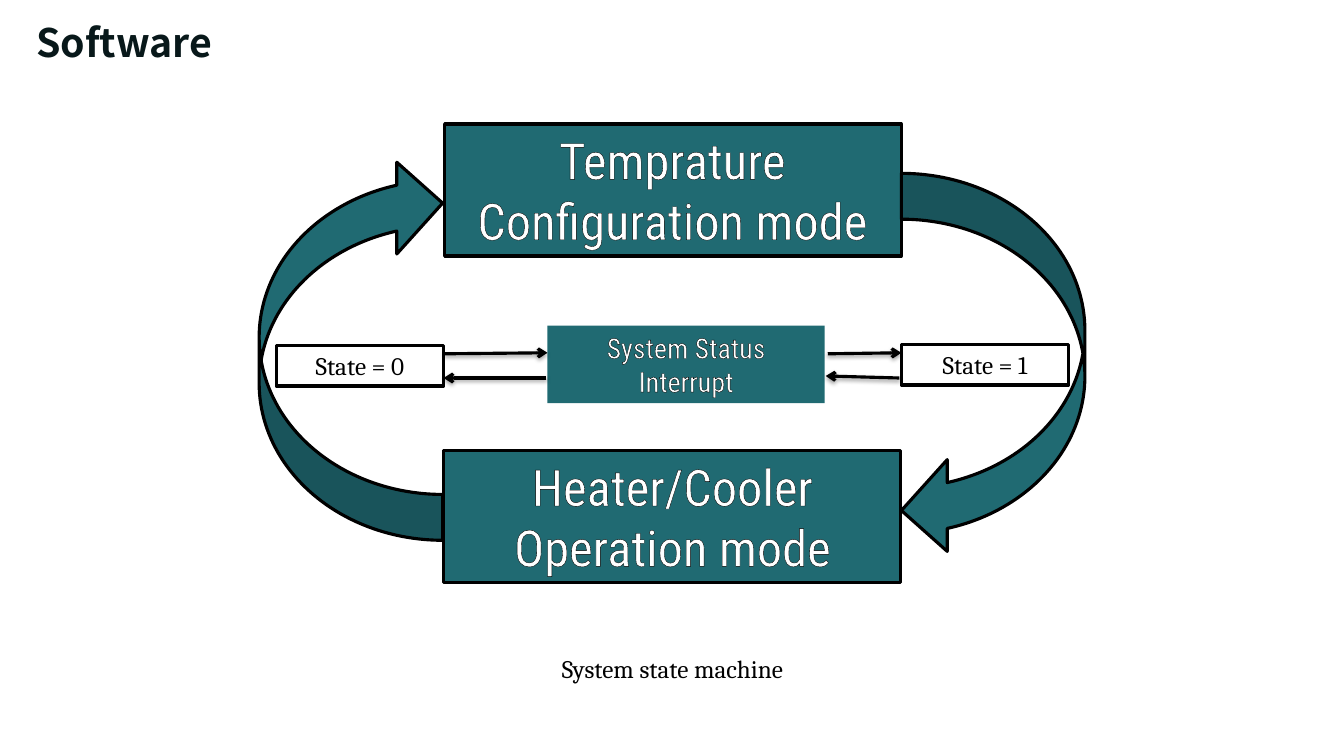
from dataclasses import dataclass
from typing import Optional

from lxml.etree import SubElement
from pptx import Presentation
from pptx.dml.color import RGBColor
from pptx.enum.shapes import MSO_CONNECTOR as Link, MSO_SHAPE as Kind
from pptx.enum.text import MSO_ANCHOR as Anchor, MSO_AUTO_SIZE as Fit, PP_ALIGN as Align
from pptx.oxml import parse_xml
from pptx.oxml.ns import nsdecls, qn
from pptx.util import Emu, Pt

PX = 9144  # 100 px to the inch
TEAL, BLACK, WHITE, DARK = "206A72", "000000", "FFFFFF", "08181A"
SERIF, SANS, HEAD = "Cambria", "Roboto Condensed", "Noto Sans CJK SC"


@dataclass
class Label:
    text: str
    size: int
    face: str
    color: str
    bold: bool = False
    edge: bool = False
    align: Align = Align.CENTER
    anchor: Anchor = Anchor.TOP
    fit: Fit = Fit.SHAPE_TO_FIT_TEXT


@dataclass
class Box:
    at: tuple[int, int, int, int]
    fill: Optional[str] = None
    line: Optional[str] = None
    label: Optional[Label] = None
    kind: Kind = Kind.RECTANGLE
    turn: int = 0


@dataclass
class Arrow:
    start: tuple[int, int]
    end: tuple[int, int]


def px(*sizes: int) -> list[Emu]:
    return [Emu(size * PX) for size in sizes]


def rgb(color: str) -> RGBColor:
    return RGBColor.from_string(color)


def write(shape, label: Label) -> None:
    frame = shape.text_frame
    frame.text = label.text
    frame.word_wrap = True
    frame.auto_size = label.fit
    frame.vertical_anchor = label.anchor
    para = frame.paragraphs[0]
    para.alignment = label.align
    font = para.font
    font.size, font.name, font.bold = Pt(label.size), label.face, label.bold
    font.color.rgb = rgb(label.color)
    if label.edge:
        edge = parse_xml(
            f'<a:ln {nsdecls("a")} w="{Pt(0.75)}"><a:solidFill>'
            f'<a:srgbClr val="{BLACK}"/></a:solidFill></a:ln>')
        para.runs[0].font._element.insert(0, edge)


def draw_box(slide, box: Box) -> None:
    shape = slide.shapes.add_shape(box.kind, *px(*box.at))
    shape.shadow.inherit = False
    shape.rotation = box.turn
    if box.fill:
        shape.fill.solid()
        shape.fill.fore_color.rgb = rgb(box.fill)
    else:
        shape.fill.background()
    if box.line:
        shape.line.color.rgb = rgb(box.line)
        shape.line.width = Pt(2.25)
    else:
        shape.line.fill.background()
    if box.label:
        write(shape, box.label)


def draw_arrow(slide, arrow: Arrow) -> None:
    link = slide.shapes.add_connector(Link.STRAIGHT, *px(*arrow.start, *arrow.end))
    link.line.color.rgb = rgb(BLACK)
    link.line.width = Pt(2.25)
    SubElement(link.line._get_or_add_ln(), qn("a:tailEnd"), type="arrow")
    link._element.spPr.append(parse_xml(
        f'<a:effectLst {nsdecls("a")}><a:outerShdw blurRad="{Pt(3.1)}" '
        f'dist="{Pt(1.6)}" dir="5400000" rotWithShape="0"><a:srgbClr val="{BLACK}">'
        f'<a:alpha val="38000"/></a:srgbClr></a:outerShdw></a:effectLst>'))


def mode(text: str, size: int = 36) -> Label:
    return Label(text, size, SANS, WHITE, edge=True)


def state(num: int) -> Label:
    return Label(f"State = {num}", 18, SERIF, BLACK, anchor=Anchor.MIDDLE, fit=Fit.NONE)


BOXES = [
    Box((440, 123, 454, 131), TEAL, label=mode("Temprature Configuration mode")),
    Box((440, 447, 454, 131), TEAL, label=mode("Heater/Cooler Operation mode")),
    Box((894, 172, 182, 380), TEAL, BLACK, kind=Kind.CURVED_LEFT_ARROW),
    Box((257, 156, 182, 380), TEAL, BLACK, kind=Kind.CURVED_LEFT_ARROW, turn=180),
    Box((441, 123, 453, 131), line=BLACK),
    Box((440, 447, 453, 131), line=BLACK),
    Box((274, 343, 166, 40), WHITE, BLACK, state(0)),
    Box((894, 342, 166, 40), WHITE, BLACK, state(1)),
    Box((543, 323, 275, 77), TEAL, label=mode("System Status Interrupt", 20)),
]
ARROWS = [
    Arrow((441, 351), (543, 350)),
    Arrow((542, 375), (440, 375)),
    Arrow((821, 351), (894, 350)),
    Arrow((892, 375), (819, 373)),
]


def main() -> None:
    deck = Presentation()
    deck.slide_width, deck.slide_height = px(1333, 750)
    slide = deck.slides.add_slide(deck.slide_layouts[5])

    title = slide.shapes.title
    title.left, title.top, title.width, title.height = px(26, 18, 756, 52)
    write(title, Label("Software", 28, HEAD, DARK, bold=True, align=Align.LEFT))
    title.text_frame.paragraphs[0].line_spacing = 0.9

    caption = slide.shapes.add_textbox(*px(470, 643, 394, 40))
    write(caption, Label("System state machine", 18, SERIF, BLACK))

    for box in BOXES:
        draw_box(slide, box)
    for arrow in ARROWS:
        draw_arrow(slide, arrow)
    deck.save("out.pptx")


if __name__ == "__main__":
    main()
